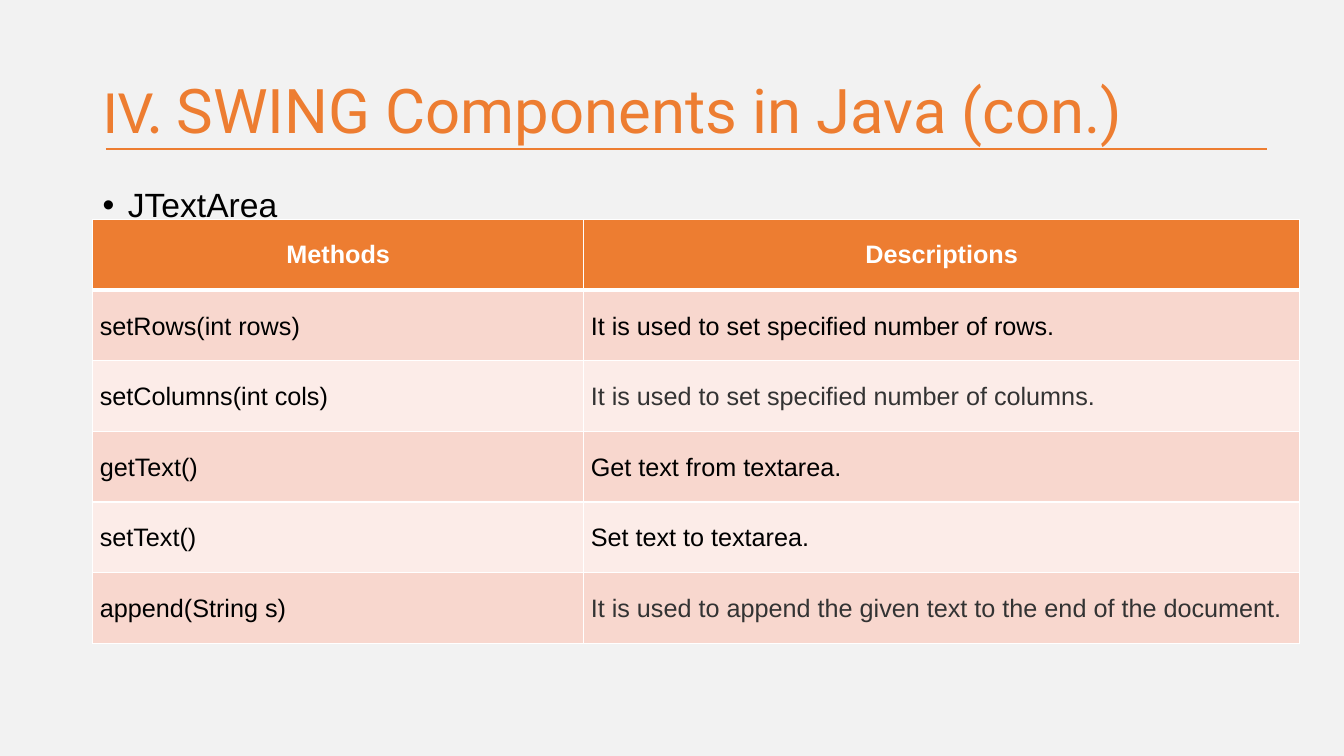
from dataclasses import dataclass

from lxml.etree import SubElement
from pptx import Presentation
from pptx.dml.color import RGBColor
from pptx.enum.shapes import MSO_CONNECTOR
from pptx.enum.text import MSO_ANCHOR, PP_ALIGN
from pptx.oxml.ns import qn
from pptx.util import Inches, Pt


@dataclass(frozen=True)
class Theme:
    background: RGBColor = RGBColor.from_string("F2F2F2")
    accent: RGBColor = RGBColor.from_string("ED7D31")
    dark_band: RGBColor = RGBColor.from_string("F8D7CE")
    light_band: RGBColor = RGBColor.from_string("FCECE8")
    white: RGBColor = RGBColor.from_string("FFFFFF")
    black: RGBColor = RGBColor.from_string("000000")
    grey: RGBColor = RGBColor.from_string("333333")
    title_size: Pt = Pt(44)
    bullet_size: Pt = Pt(24)
    table_size: Pt = Pt(18)


theme = Theme()


def style_font(font, name, size, color, bold=False):
    font.name = name
    font.size = size
    font.color.rgb = color
    font.bold = bold


def add_border(cell, side, width):
    line = SubElement(cell._tc.get_or_add_tcPr(), qn(f"a:{side}"), w=str(Pt(width)))
    fill = SubElement(line, qn("a:solidFill"))
    SubElement(fill, qn("a:srgbClr"), val=str(theme.white))


presentation = Presentation()
presentation.slide_width = Inches(13.33)
presentation.slide_height = Inches(7.5)
slide = presentation.slides.add_slide(presentation.slide_layouts[6])
slide.background.fill.solid()
slide.background.fill.fore_color.rgb = theme.background

# Rule under the title
title_rule = slide.shapes.add_connector(
    MSO_CONNECTOR.STRAIGHT, Inches(1.05), Inches(1.48), Inches(12.57), Inches(1.48))
title_rule.line.color.rgb = theme.accent
title_rule.line.width = Pt(1.5)
SubElement(title_rule._element.spPr, qn("a:effectLst"))

# Title
title = slide.shapes.add_textbox(Inches(0.92), Inches(0.4), Inches(11.5), Inches(1.45))
title.text_frame.word_wrap = True
title.text_frame.vertical_anchor = MSO_ANCHOR.MIDDLE
heading = title.text_frame.paragraphs[0]
heading.line_spacing = 0.9
for words, font_name in (("IV. ", "Calibri"), ("SWING Components in Java (con.)", "Roboto")):
    run = heading.add_run()
    run.text = words
    style_font(run.font, font_name, theme.title_size, theme.accent)

# Bulleted component name
body = slide.shapes.add_textbox(Inches(0.92), Inches(1.58), Inches(11.5), Inches(5.71))
body.text_frame.word_wrap = True
component = body.text_frame.paragraphs[0]
component.text = "JTextArea"
component.line_spacing = 1.5
bullet_props = component._p.get_or_add_pPr()
bullet_props.set("marL", str(Inches(0.25)))
bullet_props.set("indent", str(-Inches(0.25)))
SubElement(bullet_props, qn("a:buFont"), typeface="Arial")
SubElement(bullet_props, qn("a:buChar"), char="•")
style_font(component.runs[0].font, "Arial", theme.bullet_size, theme.black)

# Table of methods: each row ends with the colour of its description
method_rows = [
    ("Methods", "Descriptions", theme.white),
    ("setRows(int rows)", "It is used to set specified number of rows.", theme.black),
    ("setColumns(int cols)", "It is used to set specified number of columns.", theme.grey),
    ("getText()", "Get text from textarea.", theme.black),
    ("setText()", "Set text to textarea.", theme.black),
    ("append(String s)", "It is used to append the given text to the end of the document.",
     theme.grey),
]
methods = slide.shapes.add_table(
    len(method_rows), 2, Inches(0.92), Inches(2.18), Inches(11.97), Inches(4.2)).table
methods.columns[0].width = Inches(4.87)
methods.columns[1].width = Inches(7.1)

for row, (method, description, description_color) in enumerate(method_rows):
    is_header = row == 0
    band = theme.accent if is_header else theme.dark_band if row % 2 else theme.light_band
    method_color = theme.white if is_header else theme.black
    entries = ((method, method_color), (description, description_color))
    for column, (words, color) in enumerate(entries):
        cell = methods.cell(row, column)
        cell.vertical_anchor = MSO_ANCHOR.MIDDLE
        for side in ("lnL", "lnR", "lnT", "lnB"):
            under_header = (row, side) in ((0, "lnB"), (1, "lnT"))
            add_border(cell, side, 3 if under_header else 1)
        cell.fill.solid()
        cell.fill.fore_color.rgb = band
        cell.text_frame.text = words
        paragraph = cell.text_frame.paragraphs[0]
        if is_header:
            paragraph.alignment = PP_ALIGN.CENTER
        else:
            paragraph.line_spacing = 1.07
            cell.margin_left = cell.margin_right = Inches(0.07)
            cell.margin_top = cell.margin_bottom = 0
        style_font(paragraph.runs[0].font, "Arial", theme.table_size, color, is_header)

presentation.save("out.pptx")
